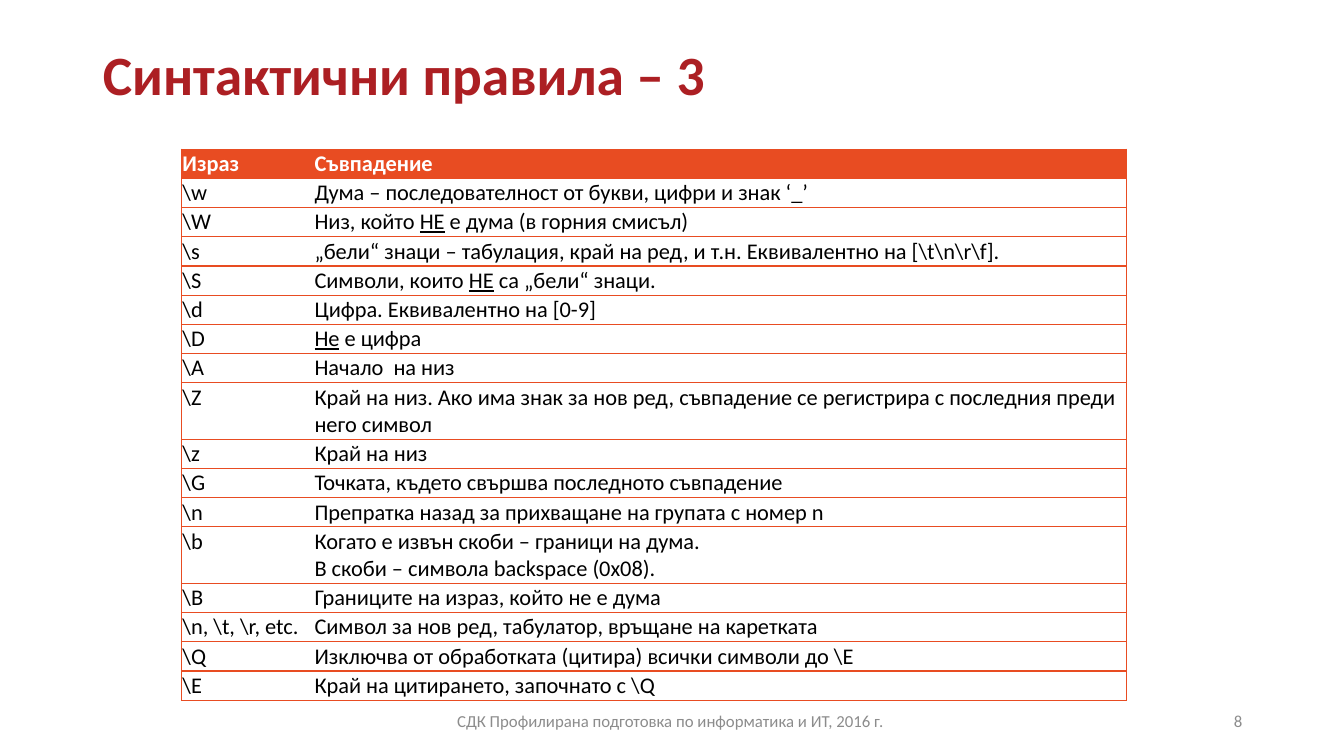
from dataclasses import dataclass

from lxml import etree
from pptx import Presentation
from pptx import util as u
from pptx.dml.color import RGBColor
from pptx.enum import text
from pptx.oxml import ns

FONT = "Calibri"
ORANGE, RED, GRAY, WHITE, BLACK = "E84C22", "AC1F23", "8C8C8C", "FFFFFF", "000000"
TITLE_ONLY = 5
LINE_HEIGHT, CELL_MARGIN = 0.27, 0.01
COLUMN_WIDTHS = (1.31, 8.06)


@dataclass
class Rule:
    expression: str
    match: str  # text between bars is underlined
    lines: int = 1


@dataclass
class FooterText:
    wording: str
    left: float
    width: float
    alignment: text.PP_ALIGN


RULES = [
    Rule("Израз", "Съвпадение"),
    Rule(r"\w", "Дума – последователност от букви, цифри и знак ‘_’"),
    Rule(r"\W", "Низ, който |НЕ| е дума (в горния смисъл)"),
    Rule(r"\s", r"„бели“ знаци – табулация, край на ред, и т.н. Еквивалентно на [\t\n\r\f]."),
    Rule(r"\S", "Символи, които |НЕ| са „бели“ знаци."),
    Rule(r"\d", "Цифра. Еквивалентно на [0-9]"),
    Rule(r"\D", "|Не| е цифра"),
    Rule(r"\A", "Начало  на низ"),
    Rule(r"\Z", "Край на низ. Ако има знак за нов ред, съвпадение се регистрира "
                "с последния преди него символ", 2),
    Rule(r"\z", "Край на низ"),
    Rule(r"\G", "Точката, където свършва последното съвпадение"),
    Rule(r"\n", "Препратка назад за прихващане на групата с номер n"),
    Rule(r"\b", "Когато е извън скоби – граници на дума.\n"
                "В скоби – символа backspace (0x08).", 2),
    Rule(r"\B", "Границите на израз, който не е дума"),
    Rule(r"\n, \t, \r, etc.", "Символ за нов ред, табулатор, връщане на каретката"),
    Rule(r"\Q", r"Изключва от обработката (цитира) всички символи до \E"),
    Rule(r"\E", r"Край на цитирането, започнато с \Q"),
]

FOOTER = [
    FooterText("СДК Профилирана подготовка по информатика и ИТ, 2016 г. ", 4.42, 4.5,
               text.PP_ALIGN.CENTER),
    FooterText("8", 9.42, 3, text.PP_ALIGN.RIGHT),
]


def color(value: str) -> RGBColor:
    return RGBColor.from_string(value)


def format_paragraph(paragraph, size: float, font_color: str, bold: bool = False) -> None:
    font = paragraph.font
    font.name, font.size, font.bold = FONT, u.Pt(size), bold
    font.color.rgb = color(font_color)


def write_marked(paragraph, wording: str) -> None:
    """Write runs, underlining the parts between bars and breaking at line ends."""
    for line_number, line in enumerate(wording.split("\n")):
        if line_number:
            paragraph.add_line_break()
        for part_number, part in enumerate(line.split("|")):
            if part:
                run = paragraph.add_run()
                run.text = part
                if part_number % 2:
                    run.font.underline = True


def set_borders(cell, open_side: str) -> None:
    """Draw orange borders on every side except the open one."""
    properties = cell._tc.get_or_add_tcPr()
    for position, side in enumerate(("lnL", "lnR", "lnT", "lnB")):
        line = etree.Element(ns.qn(f"a:{side}"), w=str(u.Pt(1)))
        if side == open_side:
            etree.SubElement(line, ns.qn("a:noFill"))
        else:
            fill = etree.SubElement(line, ns.qn("a:solidFill"))
            etree.SubElement(fill, ns.qn("a:srgbClr"), val=ORANGE)
        properties.insert(position, line)


def add_title(slide, wording: str) -> None:
    title = slide.shapes.title
    title.left, title.top = u.Inches(0.92), u.Inches(0.4)
    title.width, title.height = u.Inches(11.5), u.Inches(0.74)
    frame = title.text_frame
    frame.text = wording
    frame.auto_size = text.MSO_AUTO_SIZE.NONE
    frame.vertical_anchor = text.MSO_ANCHOR.MIDDLE
    paragraph = frame.paragraphs[0]
    paragraph.alignment = text.PP_ALIGN.LEFT
    paragraph.line_spacing = 0.9
    format_paragraph(paragraph, 39.6, RED, bold=True)


def fill_cell(cell, wording: str, header: bool, open_side: str) -> None:
    cell.margin_left = cell.margin_right = u.Inches(CELL_MARGIN)
    cell.margin_top = cell.margin_bottom = u.Inches(CELL_MARGIN)
    cell.fill.solid()
    cell.fill.fore_color.rgb = color(ORANGE if header else WHITE)
    set_borders(cell, open_side)
    paragraph = cell.text_frame.paragraphs[0]
    write_marked(paragraph, wording)
    format_paragraph(paragraph, 16, WHITE if header else BLACK, bold=header)


def add_rules_table(slide, rules: list[Rule]) -> None:
    heights = [rule.lines * LINE_HEIGHT + 2 * CELL_MARGIN for rule in rules]
    table = slide.shapes.add_table(
        len(rules), len(COLUMN_WIDTHS), u.Inches(1.8), u.Inches(1.48),
        u.Inches(sum(COLUMN_WIDTHS)), u.Inches(sum(heights))).table
    table.horz_banding = False
    for column, width in zip(table.columns, COLUMN_WIDTHS):
        column.width = u.Inches(width)
    for index, (rule, height) in enumerate(zip(rules, heights)):
        table.rows[index].height = u.Inches(height)
        fill_cell(table.cell(index, 0), rule.expression, index == 0, "lnR")
        fill_cell(table.cell(index, 1), rule.match, index == 0, "lnL")


def add_footer_text(slide, footer: FooterText) -> None:
    box = slide.shapes.add_textbox(u.Inches(footer.left), u.Inches(6.95),
                                   u.Inches(footer.width), u.Inches(0.4))
    frame = box.text_frame
    frame.word_wrap = True
    frame.vertical_anchor = text.MSO_ANCHOR.MIDDLE
    frame.text = footer.wording
    paragraph = frame.paragraphs[0]
    paragraph.alignment = footer.alignment
    format_paragraph(paragraph, 12, GRAY)


def main() -> None:
    presentation = Presentation()
    presentation.slide_width, presentation.slide_height = u.Inches(13.33), u.Inches(7.5)
    slide = presentation.slides.add_slide(presentation.slide_layouts[TITLE_ONLY])
    add_title(slide, "Синтактични правила – 3")
    for footer in FOOTER:
        add_footer_text(slide, footer)
    add_rules_table(slide, RULES)
    presentation.save("out.pptx")


if __name__ == "__main__":
    main()
